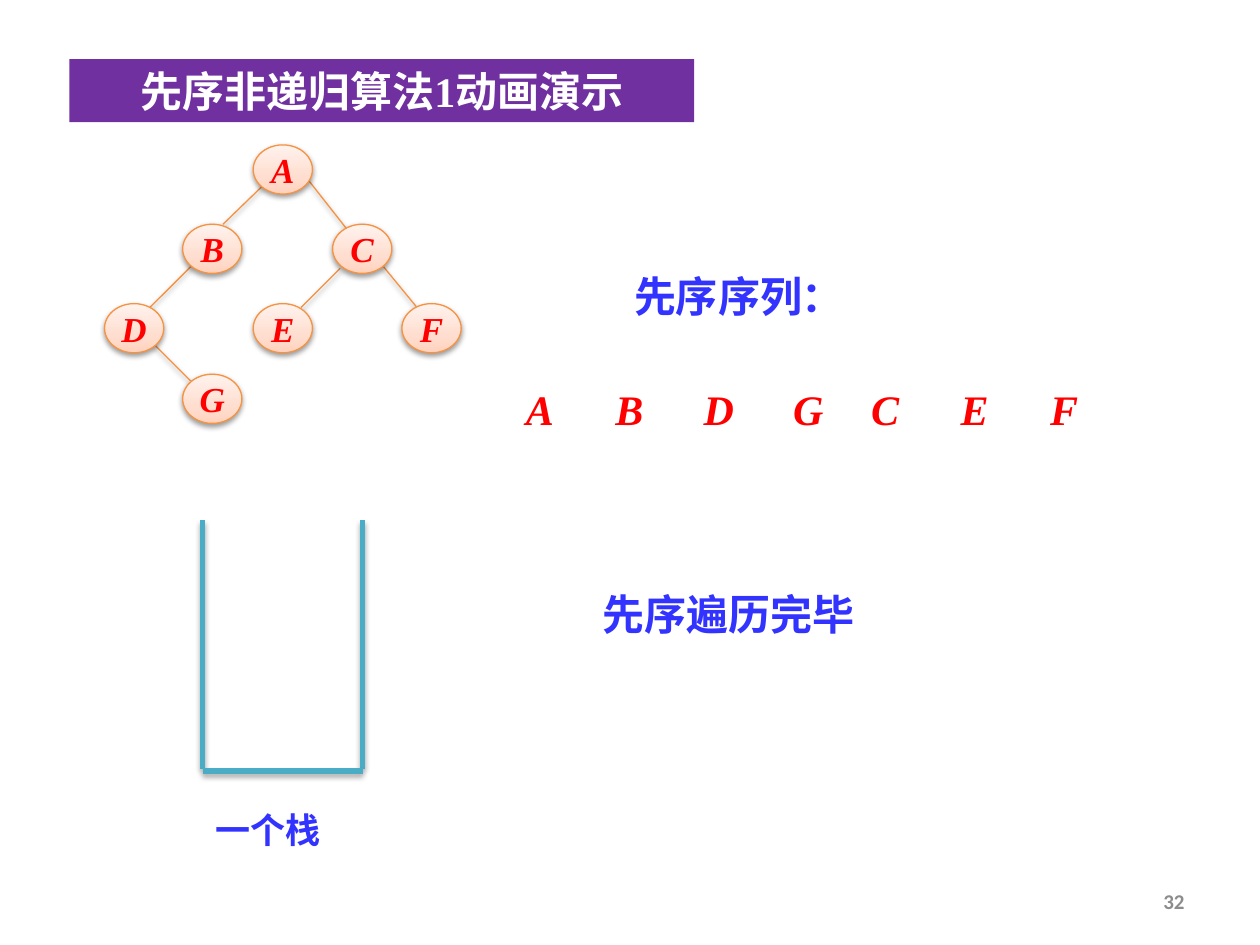
import copy

import lxml.etree
import pptx
import pptx.dml.color
import pptx.enum.shapes
import pptx.enum.text
import pptx.oxml.ns
import pptx.util

SCALE = 9144  # EMU per px, 100 px to the inch
COLORS = {
    "banner": "7030A0", "white": "FFFFFF", "label": "3333FF", "letter": "FF0000",
    "edge": "F69240", "stack": "4BACC6", "page": "8C8C8C", "shadow": "000000",
}
NODE_STOPS = {0: "FFD2BD", 0.35: "FFDED0", 1: "FFF2ED"}
SERIF, SANS, PAGE_FONT = "Times New Roman", "Noto Sans CJK SC", "Calibri"
ALIGN = pptx.enum.text.PP_ALIGN
MIDDLE = pptx.enum.text.MSO_ANCHOR.MIDDLE
SHAPES = pptx.enum.shapes.MSO_SHAPE

NODE_WIDTH, NODE_HEIGHT = 47, 39
NODES = {
    "A": (201, 115), "B": (145, 178), "C": (264, 178), "D": (83, 241),
    "E": (201, 241), "F": (319, 241), "G": (145, 297),
}
EDGES = [
    (122, 273, 153, 304), (209, 147, 177, 178), (244, 142, 277, 184),
    (153, 210, 114, 249), (270, 213, 239, 244), (303, 210, 335, 249),
]
STACK_WALLS = [(161, 413, 161, 610), (288, 413, 288, 610), (161, 612, 288, 612)]
PREORDER = "ABDGCEF"
LETTER_LEFT, LETTER_STEP, RIGHT_SUBTREE_SHIFT = 405, 71, -10


def px(value):
    return pptx.util.Emu(value * SCALE)


def rgb(name):
    return pptx.dml.color.RGBColor.from_string(COLORS.get(name, name))


class SlideBuilder:
    def __init__(self, slide):
        self.slide = slide

    def add_shadow(self, item, opacity, distance):
        """Put a soft shadow straight below the item."""
        tag = pptx.oxml.ns.qn
        effects = lxml.etree.SubElement(item._element.spPr, tag("a:effectLst"))
        shadow = lxml.etree.SubElement(
            effects, tag("a:outerShdw"), blurRad=str(pptx.util.Pt(3.1)),
            dist=str(pptx.util.Pt(distance)), dir="5400000", rotWithShape="0")
        color = lxml.etree.SubElement(shadow, tag("a:srgbClr"), val=COLORS["shadow"])
        lxml.etree.SubElement(color, tag("a:alpha"), val=str(opacity * 1000))

    def set_text(self, shape, text, color, size, font=SERIF, align=ALIGN.CENTER,
                 wrap=True, inset=None, **style):
        frame = shape.text_frame
        frame.word_wrap = wrap
        frame.vertical_anchor = MIDDLE
        if inset is not None:
            for side in ("left", "top", "right", "bottom"):
                setattr(frame, f"margin_{side}", px(inset))
        para = frame.paragraphs[0]
        para.alignment = align
        span = para.add_run()
        span.text = text
        values = {"name": font, "size": pptx.util.Pt(size), "bold": True, **style}
        for key, value in values.items():
            setattr(span.font, key, value)
        span.font.color.rgb = rgb(color)
        lxml.etree.SubElement(
            span.font._element, pptx.oxml.ns.qn("a:ea"), typeface=SANS)

    def add_text(self, place, text, color, size, **style):
        box = self.slide.shapes.add_textbox(*map(px, place))
        self.set_text(box, text, color, size, **style)

    def add_banner(self, place, text):
        banner = self.slide.shapes.add_shape(SHAPES.RECTANGLE, *map(px, place))
        banner.shadow.inherit = False
        banner.fill.solid()
        banner.fill.fore_color.rgb = rgb("banner")
        banner.line.fill.background()
        self.set_text(banner, text, "white", 24)

    def add_line(self, ends, color, width, opacity, distance):
        line = self.slide.shapes.add_connector(
            pptx.enum.shapes.MSO_CONNECTOR.STRAIGHT, *map(px, ends))
        line.line.color.rgb = rgb(color)
        line.line.width = pptx.util.Pt(width)
        self.add_shadow(line, opacity, distance)

    def add_node(self, left, top, letter):
        node = self.slide.shapes.add_shape(
            SHAPES.OVAL, *map(px, (left, top, NODE_WIDTH, NODE_HEIGHT)))
        node.fill.gradient()
        node.fill.gradient_angle = 90
        first = node._element.spPr.find(".//" + pptx.oxml.ns.qn("a:gs"))
        first.addnext(copy.deepcopy(first))
        for stop, (position, color) in zip(node.fill.gradient_stops, NODE_STOPS.items()):
            stop.position = position
            stop.color.rgb = rgb(color)
        node.line.color.rgb = rgb("edge")
        node.line.width = pptx.util.Pt(0.75)
        self.add_shadow(node, 38, 1.6)
        self.set_text(node, letter, "letter", 20, wrap=False, italic=True)


def main():
    deck = pptx.Presentation()
    deck.slide_width, deck.slide_height = px(1000), px(750)
    page = SlideBuilder(deck.slides.add_slide(deck.slide_layouts[6]))

    for ends in EDGES:
        page.add_line(ends, "edge", 0.75, 38, 1.6)
    for letter, (left, top) in NODES.items():
        page.add_node(left, top, letter)

    for ends in STACK_WALLS:
        page.add_line(ends, "stack", 3, 35, 1.8)
    page.add_text((161, 636, 126, 44), "一个栈", "label", 20, font=SANS, align=ALIGN.LEFT)

    page.add_text((492, 210, 189, 50), "先序序列：", "label", 24)
    for index, letter in enumerate(PREORDER):
        left = LETTER_LEFT + index * LETTER_STEP
        if index >= PREORDER.index("C"):
            left += RIGHT_SUBTREE_SHIFT
        page.add_text((left, 304, 47, 40), letter, "letter", 24, inset=0, italic=True)
    page.add_text((429, 462, 299, 50), "先序遍历完毕", "label", 24, font=SANS)

    page.add_banner((55, 47, 496, 50), "先序非递归算法1动画演示")
    page.add_text((717, 695, 233, 40), "32", "page", 12, font=PAGE_FONT, align=ALIGN.RIGHT)
    deck.save("out.pptx")


if __name__ == "__main__":
    main()
